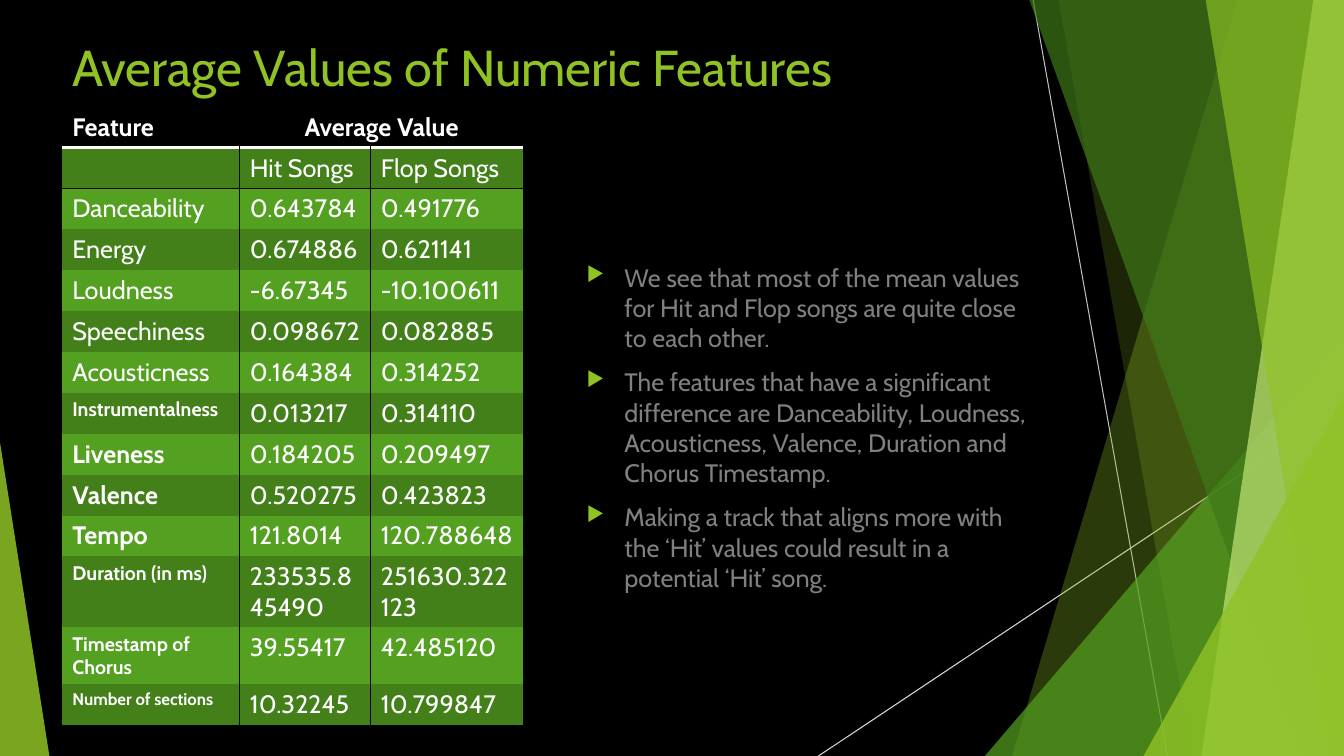
"""Build a dark slide comparing average audio features of hit and flop songs."""
from pptx import Presentation
from pptx.dml.color import RGBColor
from pptx.enum.shapes import MSO_CONNECTOR as Connector, MSO_SHAPE as Preset
from pptx.enum.text import PP_ALIGN as Align
from pptx.oxml.ns import qn
from pptx.util import Pt
from lxml.etree import SubElement

WIDTH, HEIGHT = 960, 540
FONT = "Cabin"
COLORS = {
    "black": "000000", "white": "FFFFFF", "lime": "90C226", "pale": "C0E474",
    "leaf": "54A021", "moss": "43801A", "forest": "3F7819", "text": "808080",
    "silver": "BFBFBF", "mist": "D9D9D9",
}
RAYS = [
    ("silver", (738, 0), (834, HEIGHT)),
    ("mist", (WIDTH, 290), (584.6, HEIGHT)),
]
BACK_BANDS = [("lime", 30, 884.2, 722.9), ("lime", 20, 756, 851.8)]
FRONT_BANDS = [
    ("forest", 70, 735.1, 929.5),
    ("pale", 70, 938.2, 858.2),
    ("lime", 65, 861.1, 949),
]
COLUMN_WIDTHS = [126.8, 93.6, 109]
ROW_HEIGHT = 29.2
FEATURES = [
    ("", "Hit Songs", "Flop Songs", 18, False),
    ("Danceability", "0.643784", "0.491776", 18, False),
    ("Energy", "0.674886", "0.621141", 18, False),
    ("Loudness", "-6.67345", "-10.100611", 18, False),
    ("Speechiness", "0.098672", "0.082885", 18, False),
    ("Acousticness", "0.164384", "0.314252", 18, False),
    ("Instrumentalness", "0.013217", "0.314110", 14, True),
    ("Liveness", "0.184205", "0.209497", 18, True),
    ("Valence", "0.520275", "0.423823", 18, True),
    ("Tempo", "121.8014", "120.788648", 18, True),
    ("Duration (in ms)", "233535.845490", "251630.322123", 14, True),
    ("Timestamp of Chorus", "39.55417", "42.485120", 14, True),
    ("Number of sections", "10.32245", "10.799847", 12, True),
]
FINDINGS = [
    "We see that most of the mean values for Hit and Flop songs are quite close "
    "to each other.",
    "The features that have a significant difference are Danceability, Loudness, "
    "Acousticness, Valence, Duration and Chorus Timestamp.",
    "Making a track that aligns more with the ‘Hit’ values could result in a "
    "potential ‘Hit’ song.",
]


def rgb(name):
    return RGBColor.from_string(COLORS[name])


def write(para, text, size=18, color="white", bold=False, align=Align.LEFT):
    para.alignment = align
    span = para.add_run()
    span.text = text
    font = span.font
    font.name, font.size, font.bold = FONT, Pt(size), bold
    font.color.rgb = rgb(color)


def add_box(page, left, top, width, height):
    frame = page.shapes.add_textbox(Pt(left), Pt(top), Pt(width), Pt(height)).text_frame
    frame.word_wrap = True
    return frame


def add_bullet(para):
    props = para._p.get_or_add_pPr()
    props.set("marL", str(Pt(27)))
    props.set("indent", str(Pt(-27)))
    para.space_before = Pt(10)
    SubElement(SubElement(props, qn("a:buClr")), qn("a:srgbClr"), val=COLORS["lime"])
    SubElement(props, qn("a:buSzPct"), val="80000")
    SubElement(props, qn("a:buChar"), char="▶")


def paint(shape, color, opacity):
    shape.shadow.inherit = False
    shape.line.fill.background()
    shape.fill.solid()
    shape.fill.fore_color.rgb = rgb(color)
    tint = shape._element.spPr.find(".//" + qn("a:srgbClr"))
    SubElement(tint, qn("a:alpha"), val=str(opacity * 1000))


def add_ray(page, color, start, end):
    ray = page.shapes.add_connector(Connector.STRAIGHT, *map(Pt, start + end))
    ray.line.color.rgb = rgb(color)
    ray.line.width = Pt(0.75)
    SubElement(ray._element.spPr, qn("a:effectLst"))


def add_band(page, color, opacity, top_x, bottom_x):
    outline = page.shapes.build_freeform(Pt(top_x), Pt(-0.6))
    corners = [(WIDTH, -0.6), (WIDTH, HEIGHT), (bottom_x, HEIGHT)]
    outline.add_line_segments([(Pt(x), Pt(y)) for x, y in corners])
    paint(outline.convert_to_shape(), color, opacity)


def add_triangle(page, color, opacity, left, top, right, apex):
    shape = page.shapes.add_shape(
        Preset.ISOSCELES_TRIANGLE, Pt(left), Pt(top), Pt(right - left), Pt(HEIGHT - top))
    shape.adjustments[0] = apex
    paint(shape, color, opacity)


def add_scenery(page):
    for ray in RAYS:
        add_ray(page, *ray)
    for band in BACK_BANDS:
        add_band(page, *band)
    add_triangle(page, "leaf", 72, 703.5, 240, WIDTH, 1)
    for band in FRONT_BANDS:
        add_band(page, *band)
    add_triangle(page, "lime", 80, 816.8, 283, WIDTH, 1)
    add_triangle(page, "lime", 85, 0, 316, 35.3, 0)


def style_cell(cell, fill, borders):
    props = cell._tc.get_or_add_tcPr()
    for side in "LRTB":
        color, width = borders.get(side, (None, 0))
        edge = SubElement(props, qn(f"a:ln{side}"), w=str(Pt(width)))
        if color:
            solid = SubElement(edge, qn("a:solidFill"))
            SubElement(solid, qn("a:srgbClr"), val=COLORS[color])
        else:
            SubElement(edge, qn("a:noFill"))
    cell.fill.solid()
    cell.fill.fore_color.rgb = rgb(fill)


def cell_borders(row, column):
    heading, thin = ("white", 2), ("black", 1)
    if row == 0:
        return {"B": heading}
    borders = {}
    if column > 0:
        borders["L"] = thin
    if column < len(COLUMN_WIDTHS) - 1:
        borders["R"] = thin
    if row == 1:
        borders.update(T=heading, B=thin)
    if row == 2:
        borders["T"] = thin
    return borders


def add_feature_table(page):
    rows = len(FEATURES) + 1
    table = page.shapes.add_table(
        rows, len(COLUMN_WIDTHS), Pt(44.5), Pt(76.3),
        Pt(sum(COLUMN_WIDTHS)), Pt(rows * ROW_HEIGHT)).table
    for column, width in zip(table.columns, COLUMN_WIDTHS):
        column.width = Pt(width)
    for index, row in enumerate(table.rows):
        row.height = Pt(ROW_HEIGHT)
        fill = "black" if index == 0 else "moss" if index % 2 else "leaf"
        for column, cell in enumerate(row.cells):
            style_cell(cell, fill, cell_borders(index, column))
    table.cell(0, 1).merge(table.cell(0, 2))
    write(table.cell(0, 0).text_frame.paragraphs[0], "Feature", bold=True)
    write(table.cell(0, 1).text_frame.paragraphs[0], "Average Value",
          bold=True, align=Align.CENTER)
    for index, (label, hit, flop, size, bold) in enumerate(FEATURES, 1):
        paras = [cell.text_frame.paragraphs[0] for cell in table.rows[index].cells]
        if label:
            write(paras[0], label, size=size, bold=bold)
        write(paras[1], hit)
        write(paras[2], flop)


def add_findings(page):
    frame = add_box(page, 412, 183.6, 330, 260)
    for index, finding in enumerate(FINDINGS):
        para = frame.add_paragraph() if index else frame.paragraphs[0]
        add_bullet(para)
        write(para, finding, color="text")


def main():
    deck = Presentation()
    deck.slide_width, deck.slide_height = Pt(WIDTH), Pt(HEIGHT)
    page = deck.slides.add_slide(deck.slide_layouts[6])
    page.background.fill.solid()
    page.background.fill.fore_color.rgb = rgb("black")
    add_scenery(page)
    title = add_box(page, 44.5, 22.3, 677, 104)
    write(title.paragraphs[0], "Average Values of Numeric Features", size=36, color="lime")
    add_feature_table(page)
    add_findings(page)
    deck.save("out.pptx")


if __name__ == "__main__":
    main()
